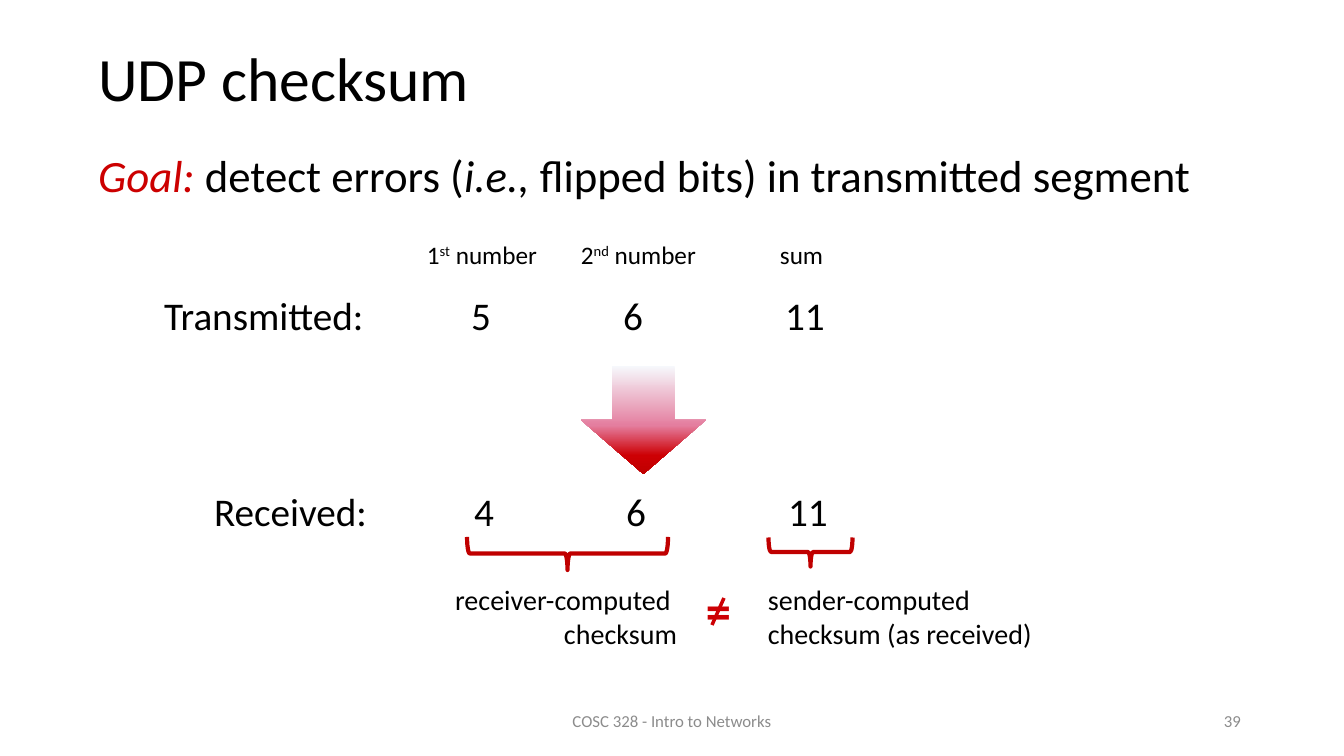
"""Build the UDP checksum slide."""
import lxml.etree
import pptx
import pptx.dml.color
import pptx.enum.shapes
import pptx.enum.text
import pptx.oxml
import pptx.oxml.ns
import pptx.util

PX = 914400 / 100.8
COLORS = {"text": "000000", "goal": "CC0000", "brace": "C00000", "unequal": "CD0004", "footer": "8C8C8C"}
ALIGN = pptx.enum.text.PP_ALIGN
ANCHOR = pptx.enum.text.MSO_ANCHOR
SHAPE = pptx.enum.shapes.MSO_SHAPE
qn = pptx.oxml.ns.qn


def emu(*lengths):
    return [pptx.util.Emu(round(length * PX)) for length in lengths]


def write(shape, paragraphs, size, color="text", align=ALIGN.LEFT, anchor=ANCHOR.TOP, spacing=1.0, wrap=True):
    frame = shape.text_frame
    frame_format = {"word_wrap": wrap, "vertical_anchor": anchor, "auto_size": pptx.enum.text.MSO_AUTO_SIZE.NONE}
    for name, value in frame_format.items():
        setattr(frame, name, value)
    for index, runs in enumerate(paragraphs):
        paragraph = frame.add_paragraph() if index else frame.paragraphs[0]
        paragraph_format = {"alignment": align, "line_spacing": spacing, "space_before": pptx.util.Pt(0)}
        for name, value in paragraph_format.items():
            setattr(paragraph, name, value)
        for text, extra in runs:
            run = paragraph.add_run()
            run.text = text
            run_format = {"name": "Calibri", "size": pptx.util.Pt(size), "bold": False, "italic": False}
            for name, value in (run_format | extra).items():
                if name == "baseline":
                    run._r.get_or_add_rPr().set("baseline", value)
                elif name != "color":
                    setattr(run.font, name, value)
            run.font.color.rgb = pptx.dml.color.RGBColor.from_string(COLORS[extra.get("color", color)])


presentation = pptx.Presentation()
presentation.slide_width, presentation.slide_height = emu(1344, 756)
slide = presentation.slides.add_slide(presentation.slide_layouts[1])
shapes = slide.shapes
title, goal = slide.placeholders

for placeholder, box in ((title, (88, 32, 1224, 99)), (goal, (88, 151, 1224, 94))):
    for name, value in zip(("left", "top", "width", "height"), emu(*box)):
        setattr(placeholder, name, value)

write(title, [[("UDP checksum", {})]], 44, anchor=ANCHOR.MIDDLE, spacing=0.9)
italic = {"italic": True}
write(goal, [[("Goal:", {"italic": True, "color": "goal"}), (" detect errors (", {}), ("i.e., ", italic),
              ("flipped bits) in transmitted segment", {})]], 32, spacing=0.85)
goal_properties = goal.text_frame.paragraphs[0]._p.get_or_add_pPr()
for name, value in zip(("marL", "indent"), emu(38, -38)):
    goal_properties.set(name, str(value))
lxml.etree.SubElement(goal_properties, qn("a:buNone"))

NUMBER_COLUMNS = (471, 623, 785)
ROW_INSET = 24
rows = [("Transmitted:\t5\t6\t11", 140, 292, 0), ("Received:\t4\t6\t11", 190, 488, 3)]
for text, left, top, shift in rows:
    row = shapes.add_textbox(*emu(left, top, 1129, 64))
    write(row, [[(text, {})]], 28, spacing=0.9)
    row.text_frame.margin_left = emu(ROW_INSET)[0]
    tabs = lxml.etree.SubElement(row.text_frame.paragraphs[0]._p.get_or_add_pPr(), qn("a:tabLst"))
    for column in NUMBER_COLUMNS:
        position = emu(column + shift - left - ROW_INSET)[0]
        lxml.etree.SubElement(tabs, qn("a:tab"), pos=str(position), algn="l")

raised = {"baseline": "30000"}
labels = [
    ((417, 234, 133, 40), [[("1", {}), ("st", raised), (" number", {})]], 18, {}),
    ((571, 234, 139, 40), [[("2", {}), ("nd", raised), (" number", {})]], 18, {}),
    ((770, 234, 64, 40), [[("sum", {})]], 18, {}),
    ((442, 578, 245, 78), [[("receiver-computed ", {})], [("checksum", {})]], 20, {"align": ALIGN.RIGHT}),
    ((758, 578, 287, 78), [[("sender-computed", {})], [("checksum (as received)", {})]], 20, {}),
    ((696, 574, 45, 72), [[("=", {"bold": True})]], 36, {"color": "unequal"}),
]
for box, paragraphs, size, options in labels:
    write(shapes.add_textbox(*emu(*box)), paragraphs, size, wrap=False, **options)

arrow = shapes.add_shape(SHAPE.DOWN_ARROW, *emu(581, 366, 125, 108))
arrow.shadow.inherit = False
arrow.line.fill.background()
arrow.fill.gradient()
arrow.fill.gradient_angle = 270
stops = arrow._element.spPr.find(".//" + qn("a:gsLst"))
for stop in list(stops):
    stops.remove(stop)
for percent, color in ((0, "F6F8FC"), (55, "E47E9F"), (83, "CD0004"), (100, "C00000")):
    stop = lxml.etree.SubElement(stops, qn("a:gs"), pos=str(percent * 1000))
    lxml.etree.SubElement(stop, qn("a:srgbClr"), val=color)

for box in ((551, 453, 33, 201), (796, 510, 29, 84)):
    brace = shapes.add_shape(SHAPE.RIGHT_BRACE, *emu(*box))
    brace.rotation = 90
    brace.shadow.inherit = False
    brace.fill.background()
    brace.line.color.rgb = pptx.dml.color.RGBColor.from_string(COLORS["brace"])
    brace.line.width = pptx.util.Pt(3)

slash = shapes.add_connector(pptx.enum.shapes.MSO_CONNECTOR.STRAIGHT, *emu(724, 598, 712, 625))
slash.line.color.rgb = pptx.dml.color.RGBColor.from_string(COLORS["unequal"])
slash.line.width = pptx.util.Pt(2.5)
lxml.etree.SubElement(slash._element.spPr, qn("a:effectLst"))

footers = [("COSC 328 - Intro to Networks", 445, 454, ALIGN.CENTER), ("39", 949, 302, ALIGN.RIGHT)]
for text, left, width, align in footers:
    footer = shapes.add_textbox(*emu(left, 701, width, 40))
    write(footer, [[(text, {})]], 12, "footer", align, ANCHOR.MIDDLE)

presentation.save("out.pptx")
